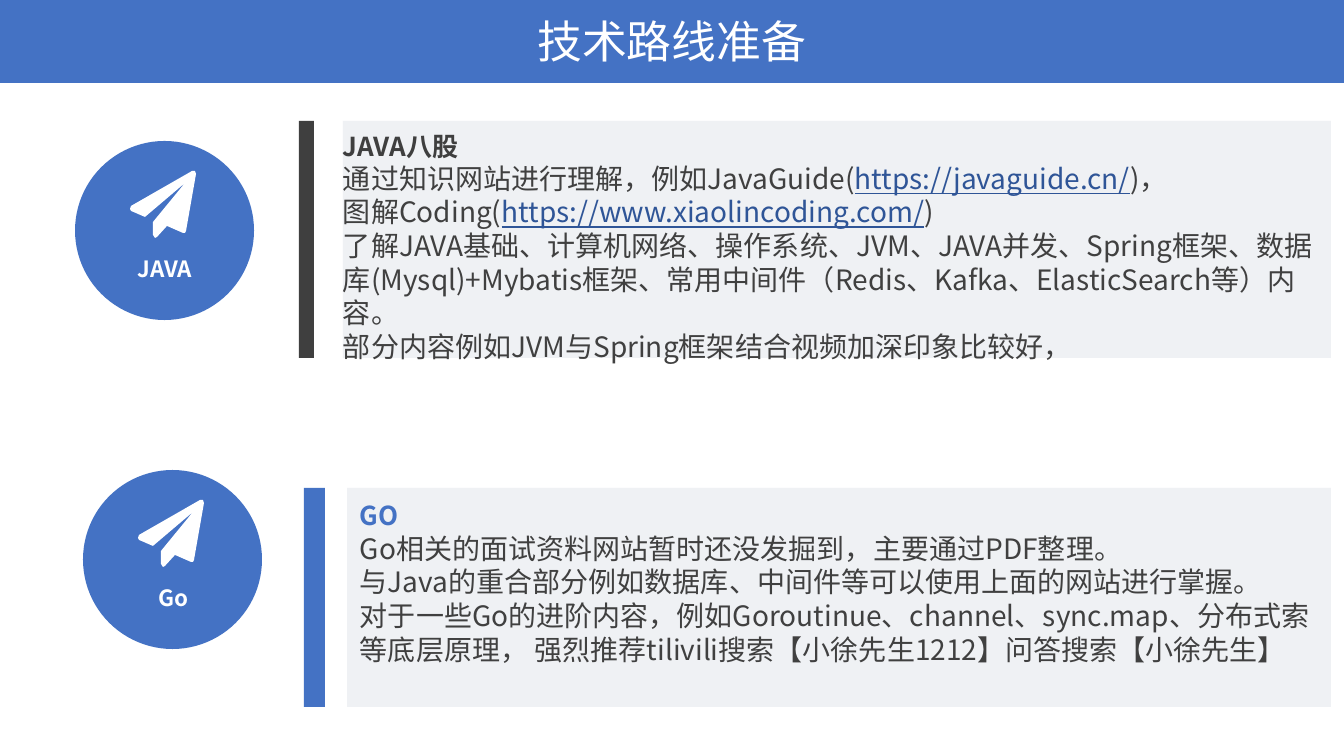
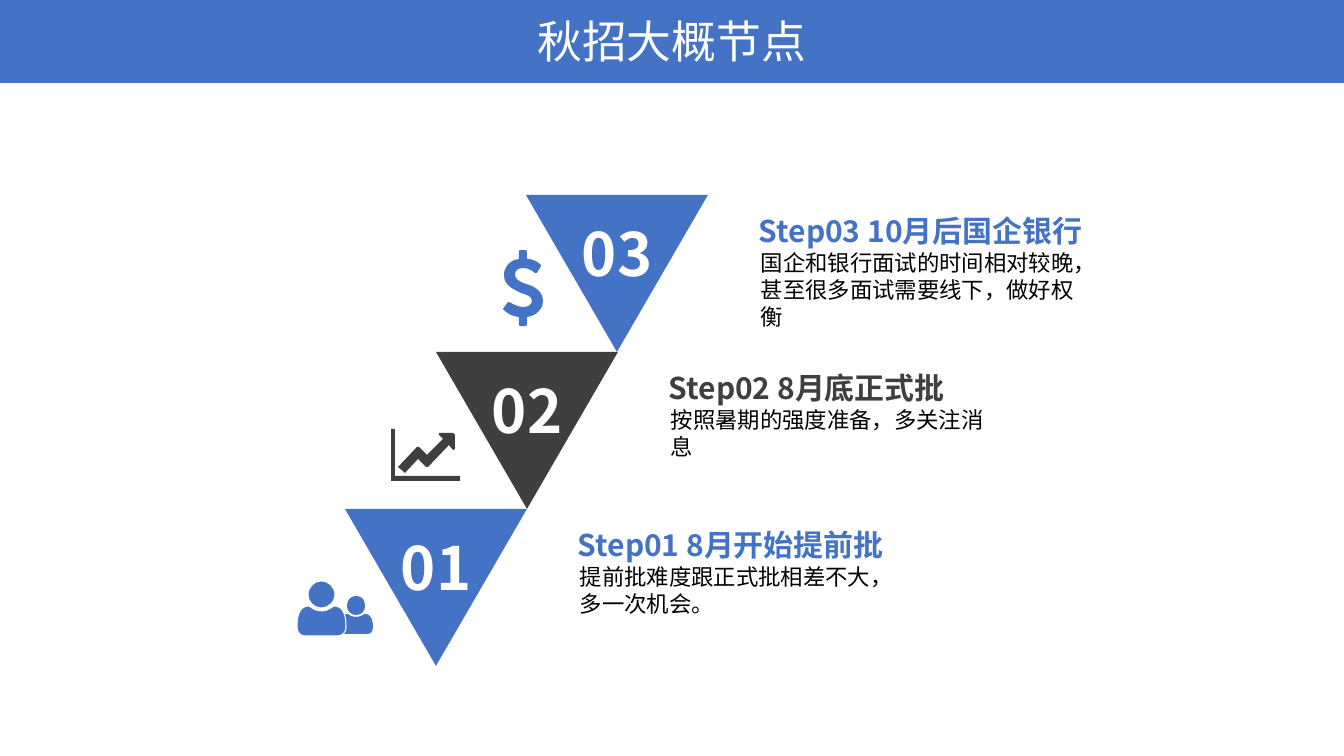
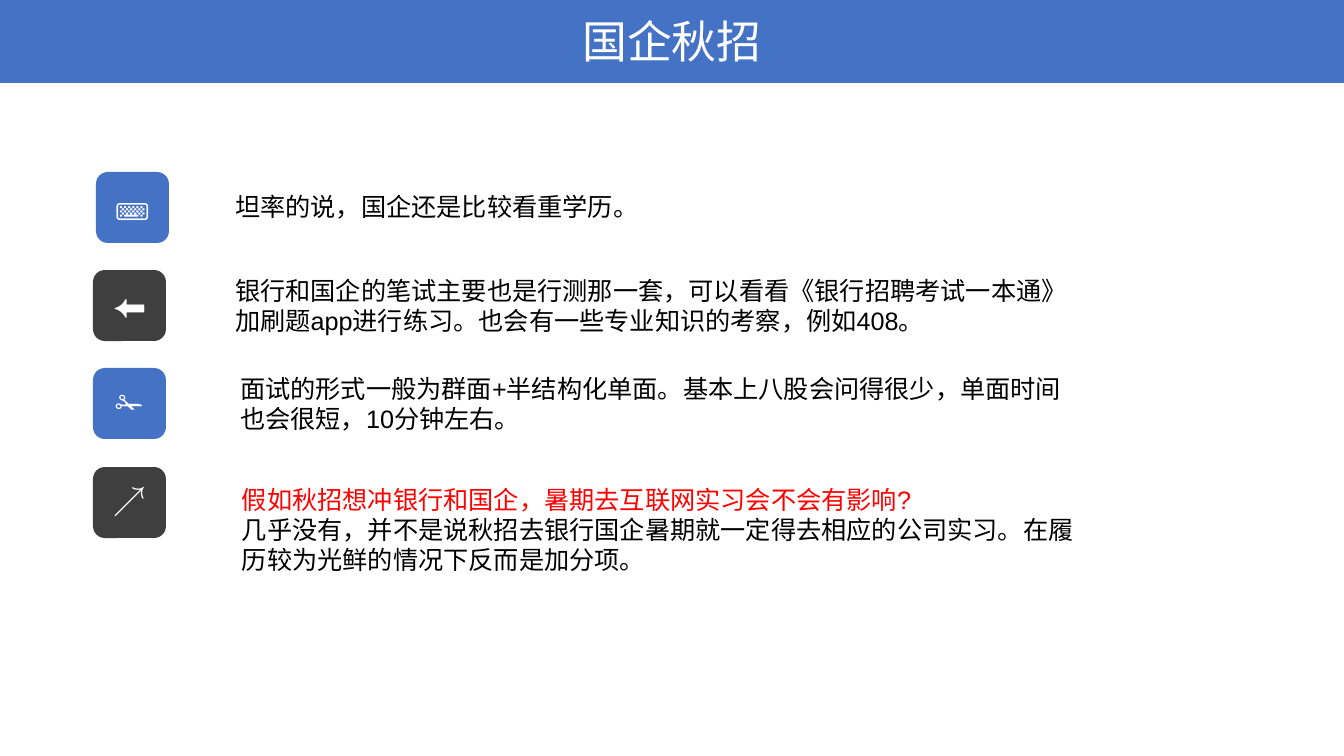
import pptx
import pptx.util
import pptx.dml.color
import pptx.enum.shapes
import pptx.enum.text
from lxml import etree

RGB = pptx.dml.color.RGBColor
PRESET = pptx.enum.shapes.MSO_SHAPE
ALIGN = pptx.enum.text.PP_ALIGN
ANCHOR = pptx.enum.text.MSO_ANCHOR

BLUE = RGB(0x44, 0x72, 0xC4)
DARK = RGB(0x3F, 0x3F, 0x3F)
BODY = RGB(0x40, 0x40, 0x40)
LINK = RGB(0x2F, 0x55, 0x97)
PANEL = RGB(0xEB, 0xEE, 0xF2)
WHITE = RGB(0xFF, 0xFF, 0xFF)
BLACK = RGB(0x00, 0x00, 0x00)
RED = RGB(0xFF, 0x00, 0x00)

SANS = "Noto Sans CJK SC"
ARIAL = "Arial"
EMU_PER_PX = 914400 / 100.8
WIDTH, HEIGHT = 1344, 756
INSETS = (10, 5, 10, 5)
NO_INSETS = (0, 0, 0, 0)

ROUTES = [
    dict(
        label="JAVA", circle=(75, 141), panel=(343, 121, 988, 237),
        bar=(299, 15), color=DARK, text=(343, 130, 974, 235), heading="JAVA八股",
        body=[
            ["通过知识网站进行理解，例如JavaGuide(", "https://javaguide.cn/", ")，"],
            ["图解Coding(", "https://www.xiaolincoding.com/", ")"],
            ["了解JAVA基础、计算机网络、操作系统、JVM、JAVA并发、Spring框架、"
             "数据库(Mysql)+Mybatis框架、常用中间件（Redis、Kafka、ElasticSearch等）内容。"],
            ["部分内容例如JVM与Spring框架结合视频加深印象比较好，"],
        ],
    ),
    dict(
        label="Go", circle=(83, 470), panel=(347, 488, 984, 219),
        bar=(304, 21), color=BLUE, text=(360, 500, 960, 177), heading="GO",
        body=[
            ["Go相关的面试资料网站暂时还没发掘到，主要通过PDF整理。"],
            ["与Java的重合部分例如数据库、中间件等可以使用上面的网站进行掌握。"],
            ["对于一些Go的进阶内容，例如Goroutinue、channel、sync.map、"
             "分布式索等底层原理， 强烈推荐tilivili搜索【小徐先生1212】问答搜索【小徐先生】"],
        ],
    ),
]

STEPS = [
    ("03", "Step03 10月后国企银行", "国企和银行面试的时间相对较晚，甚至很多面试需要线下，做好权衡", BLUE),
    ("02", "Step02 8月底正式批", "按照暑期的强度准备，多关注消息", DARK),
    ("01", "Step01 8月开始提前批", "提前批难度跟正式批相差不大，多一次机会。", BLUE),
]

ADVICE = [
    ("⌨", 96, BLUE, 5, (225, 186, 448, 40), [("坦率的说，国企还是比较看重学历。", BLACK)]),
    ("⬅", 93, DARK, 5, (225, 270, 860, 72),
     [("银行和国企的笔试主要也是行测那一套，可以看看《银行招聘考试一本通》"
       "加刷题app进行练习。也会有一些专业知识的考察，例如408。", BLACK)]),
    ("✁", 93, BLUE, 5, (230, 368, 860, 72),
     [("面试的形式一般为群面+半结构化单面。基本上八股会问得很少，"
       "单面时间也会很短，10分钟左右。", BLACK)]),
    ("↗", 93, DARK, 13, (232, 479, 860, 102),
     [("假如秋招想冲银行和国企，暑期去互联网实习会不会有影响?", RED),
      ("几乎没有，并不是说秋招去银行国企暑期就一定得去相应的公司实习。"
       "在履历较为光鲜的情况下反而是加分项。", BLACK)]),
]

PLANE = [[(66, 3), (56, 60), (55, 62), (53, 62), (37, 55), (27, 66), (25, 67), (23, 64),
          (23, 51), (55, 12), (15, 46), (1, 40), (0, 38), (1, 35), (62, 0), (65, 0)]]
SMALL_PERSON = [
    [(28, 38), (6, 38), (3, 38, 0, 35, 0, 32), (0, 26, 2, 18, 9, 18), (9, 18, 12, 21, 17, 21),
     (22, 21, 25, 18, 26, 18), (33, 18, 34, 26, 34, 32), (34, 35, 32, 38, 28, 38)],
    [(17, 19), (12, 19, 8, 15, 8, 10), (8, 4, 12, 0, 17, 0), (23, 0, 26, 4, 26, 10),
     (26, 15, 23, 19, 17, 19)],
]
LARGE_PERSON = [
    [(40, 55), (8, 55), (3, 55, 0, 51, 0, 46), (0, 38, 1, 25, 12, 25), (13, 25, 17, 30, 24, 30),
     (32, 30, 36, 25, 37, 25), (48, 25, 49, 38, 49, 46), (49, 51, 46, 55, 40, 55)],
    [(24, 27), (17, 27, 11, 21, 11, 14), (11, 6, 17, 0, 24, 0), (32, 0, 38, 6, 38, 14),
     (38, 21, 32, 27, 24, 27)],
]
GROWTH = [
    [(69, 52), (0, 52), (0, 0), (4, 0), (4, 47), (69, 47)],
    [(64, 20), (62, 21), (58, 16), (37, 38), (35, 38), (27, 30), (14, 44), (7, 38), (26, 18),
     (28, 18), (36, 26), (52, 10), (48, 6), (48, 4), (62, 4), (64, 6)],
]
DOLLAR = [[
    (25, 67), (25, 75), (24, 76), (18, 76), (17, 75), (17, 67), (7, 66, 2, 60, 2, 60), (1, 59),
    (6, 52), (7, 52), (8, 52, 14, 57, 22, 57), (25, 57, 30, 55, 30, 51),
    (30, 46, 25, 45, 19, 43), (12, 39, 2, 36, 2, 25), (2, 17, 8, 10, 17, 9), (17, 1), (18, 0),
    (24, 0), (25, 1), (25, 9), (34, 9, 39, 15, 39, 15), (39, 16), (35, 23), (33, 23),
    (33, 23, 28, 18, 22, 18), (16, 18, 13, 20, 13, 25), (13, 29, 18, 32, 24, 34),
    (32, 36, 41, 41, 41, 51), (41, 59, 34, 66, 25, 67),
]]
STEP_ICONS = [
    (SMALL_PERSON, 339, 596, BLUE, None),
    (LARGE_PERSON, 297, 581, BLUE, WHITE),
    (GROWTH, 391, 429, DARK, None),
    (DOLLAR, 502, 250, BLUE, None),
]


def px(value):
    return pptx.util.Emu(round(value * EMU_PER_PX))


def paint(shape, color, outline=None):
    shape.shadow.inherit = False
    shape.fill.solid()
    shape.fill.fore_color.rgb = color
    if outline is None:
        shape.line.fill.background()
    else:
        shape.line.color.rgb = outline
        shape.line.width = pptx.util.Pt(0.75)
    return shape


def add_block(slide, preset, box, color):
    return paint(slide.shapes.add_shape(preset, *map(px, box)), color)


def make_translucent(shape, percent):
    color = shape.fill._xPr.solidFill[0]
    alpha = etree.SubElement(color, pptx.oxml.ns.qn("a:alpha"))
    alpha.set("val", str(percent * 1000))


def set_insets(frame, insets):
    frame.margin_left, frame.margin_top, frame.margin_right, frame.margin_bottom = map(px, insets)
    frame.word_wrap = True


def style(font, size, color, name=SANS, bold=False):
    font.size = pptx.util.Pt(size)
    font.name = name
    font.bold = bold
    font.color.rgb = color


def paragraph_at(frame, index):
    return frame.add_paragraph() if index else frame.paragraphs[0]


def add_frame(slide, box, insets=INSETS):
    frame = slide.shapes.add_textbox(*map(px, box)).text_frame
    set_insets(frame, insets)
    return frame


def add_text(slide, box, lines, size, name=SANS, bold=False, align=ALIGN.LEFT, insets=INSETS):
    frame = add_frame(slide, box, insets)
    for index, (text, color) in enumerate(lines):
        paragraph = paragraph_at(frame, index)
        paragraph.text = text
        paragraph.alignment = align
        style(paragraph.font, size, color, name, bold)


def corners(segment):
    return list(zip(segment[::2], segment[1::2]))


def bend_curves(icon, outlines):
    qn = pptx.oxml.ns.qn
    lines = icon._element.iter(qn("a:lnTo"))
    lines = iter(list(lines))
    for outline in outlines:
        for segment in outline[1:]:
            parts = [next(lines) for _ in corners(segment)]
            if len(parts) == 3:
                curve = etree.Element(qn("a:cubicBezTo"))
                parts[0].addprevious(curve)
                for part in parts:
                    curve.append(part[0])
                    part.getparent().remove(part)


def add_icon(slide, outlines, left, top, color, outline_color=None):
    builder = slide.shapes.build_freeform(*outlines[0][0], scale=EMU_PER_PX)
    for index, outline in enumerate(outlines):
        if index:
            builder.move_to(*outline[0])
        points = [point for segment in outline[1:] for point in corners(segment)]
        builder.add_line_segments(points, close=False)
        builder._drawing_operations.append(
            pptx.shapes.freeform._Close.new())
    icon = builder.convert_to_shape(px(left), px(top))
    bend_curves(icon, outlines)
    paint(icon, color, outline_color)


def add_slide(deck, title):
    slide = deck.slides.add_slide(deck.slide_layouts[6])
    add_block(slide, PRESET.RECTANGLE, (0, 0, WIDTH, 83), BLUE)
    add_text(slide, (470, 9, 404, 65), [(title, WHITE)], 32, align=ALIGN.CENTER)
    return slide


def add_route(slide, route):
    left, top = route["circle"]
    add_block(slide, PRESET.OVAL, (left, top, 179, 179), BLUE)
    add_icon(slide, PLANE, left + 55, top + 30, WHITE)
    add_text(slide, (left + 16, top + 114, 148, 27), [(route["label"], WHITE)], 16,
             bold=True, align=ALIGN.CENTER, insets=NO_INSETS)
    _, panel_top, _, panel_height = route["panel"]
    bar_left, bar_width = route["bar"]
    make_translucent(add_block(slide, PRESET.RECTANGLE, route["panel"], PANEL), 80)
    add_block(slide, PRESET.RECTANGLE, (bar_left, panel_top, bar_width, panel_height),
              route["color"])
    frame = add_frame(slide, route["text"], NO_INSETS)
    for index, pieces in enumerate(route["body"]):
        paragraph = paragraph_at(frame, index)
        style(paragraph.font, 20, BODY)
        if index == 0:
            heading = paragraph.add_run()
            heading.text = route["heading"]
            style(heading.font, 18.6, route["color"], bold=True)
            paragraph.add_line_break()
        for piece in pieces:
            run = paragraph.add_run()
            run.text = piece
            if piece.startswith("https://"):
                run.font.color.rgb = LINK
                run.font.underline = True


def add_step(slide, index, number, heading, detail, color):
    left, top = 526 - (181 * index // 2), 195 + 157 * index
    triangle = add_block(slide, PRESET.ISOSCELES_TRIANGLE, (left, top, 182, 157), color)
    triangle._element.spPr.xfrm.set("flipV", "1")
    add_text(slide, (left + 46, top + 17, 95, 83), [(number, WHITE)], 42.6, bold=True)
    add_text(slide, (left + 225, top + 49, 338, 92), [(detail, BLACK)], 16)
    add_text(slide, (left + 223, top + 13, 384, 46), [(heading, color)], 21.4, bold=True)


def add_advice(slide, index, symbol, left, color, bottom_inset, box, lines):
    tile = add_block(slide, PRESET.ROUNDED_RECTANGLE, (left, 172 + 295 * index // 3, 73, 71), color)
    set_insets(tile.text_frame, (10, 5, 10, bottom_inset))
    tile.text_frame.vertical_anchor = ANCHOR.MIDDLE
    paragraph = tile.text_frame.paragraphs[0]
    paragraph.text = symbol
    paragraph.alignment = ALIGN.CENTER
    style(paragraph.font, 24, WHITE, ARIAL)
    add_text(slide, box, lines, 18, ARIAL)


def main():
    deck = pptx.Presentation()
    deck.slide_width, deck.slide_height = px(WIDTH), px(HEIGHT)

    routes = add_slide(deck, "技术路线准备")
    for route in ROUTES:
        add_route(routes, route)

    timeline = add_slide(deck, "秋招大概节点")
    for index, step in enumerate(STEPS):
        add_step(timeline, index, *step)
    for icon in STEP_ICONS:
        add_icon(timeline, *icon)

    state_firms = add_slide(deck, "国企秋招")
    for index, advice in enumerate(ADVICE):
        add_advice(state_firms, index, *advice)

    deck.save("out.pptx")


if __name__ == "__main__":
    main()
